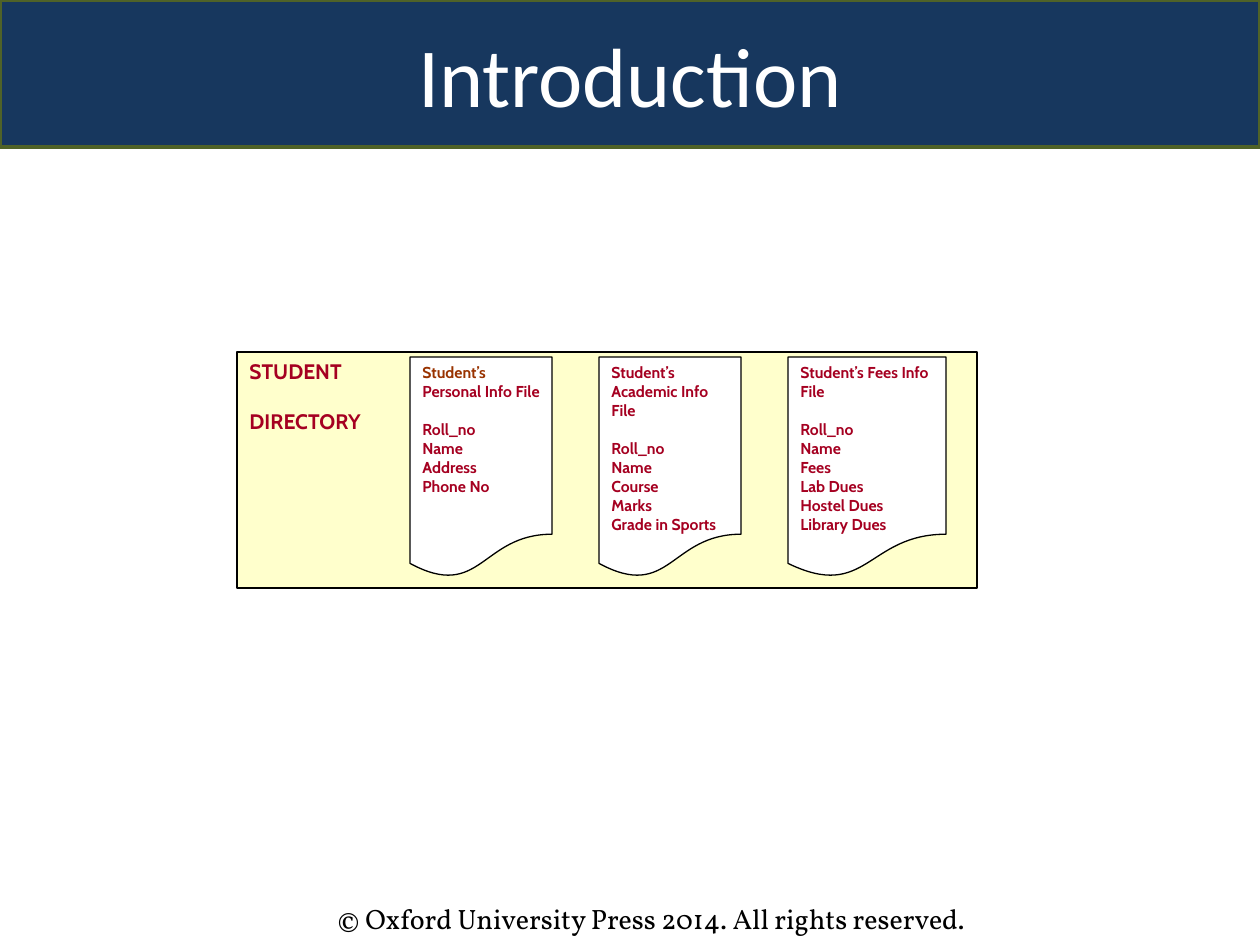
"""Build the Introduction slide with the student directory and its three files."""
from pptx import Presentation
from pptx import util as u
from pptx.dml.color import RGBColor
from pptx.enum import shapes, text

PX = 914400 / 126
NAVY = RGBColor(0x17, 0x37, 0x5E)
OLIVE = RGBColor(0x4F, 0x62, 0x28)
CREAM = RGBColor(0xFF, 0xFF, 0xCC)
CRIMSON = RGBColor(0xA5, 0x00, 0x21)
BROWN = RGBColor(0x99, 0x33, 0x00)
WHITE = RGBColor(0xFF, 0xFF, 0xFF)
BLACK = RGBColor(0x00, 0x00, 0x00)

TITLE = {"name": "Calibri", "size": u.Pt(48)}
FOOTER = {"name": "Vollkorn", "size": u.Pt(16)}
HEADING = {"name": "Cabin", "size": u.Pt(12), "bold": True}
FIELD = {"name": "Cabin", "size": u.Pt(9), "bold": True}

FILES = [
    (142, [("Student’s ", BROWN), ("Personal Info File", CRIMSON)],
     ["Roll_no", "Name", "Address", "Phone No"]),
    (142, [("Student’s Academic Info File", CRIMSON)],
     ["Roll_no", "Name", "Course", "Marks", "Grade in Sports"]),
    (158, [("Student’s Fees Info File", CRIMSON)],
     ["Roll_no", "Name", "Fees", "Lab Dues", "Hostel Dues", "Library Dues"]),
]


def px(*lengths):
    """Turn pixel lengths into EMU."""
    return [u.Emu(round(n * PX)) for n in lengths]


def write(s, paragraphs, font, align=text.PP_ALIGN.LEFT, gap=0):
    """Write paragraphs of (text, colour) runs, with a gap after the first."""
    tf = s.text_frame
    tf.word_wrap = True
    for i, runs in enumerate(paragraphs):
        p = tf.add_paragraph() if i else tf.paragraphs[0]
        p.alignment = align
        if i == 1:
            p.space_before = u.Pt(gap)
        for words, colour in runs:
            r = p.add_run()
            r.text = words
            r.font.color.rgb = colour
            for key, value in font.items():
                setattr(r.font, key, value)


def add_box(slide, kind, box, fill, line=BLACK, width=0.75):
    """Add a filled and outlined shape whose text starts at the top."""
    s = slide.shapes.add_shape(kind, *px(*box))
    s.shadow.inherit = False
    s.fill.solid()
    s.fill.fore_color.rgb = fill
    s.line.color.rgb = line
    s.line.width = u.Pt(width)
    s.text_frame.vertical_anchor = text.MSO_ANCHOR.TOP
    return s


def add_title(slide, words):
    """Add the title band across the top."""
    kind = shapes.MSO_SHAPE.ROUNDED_RECTANGLE
    s = add_box(slide, kind, (0, 0, 1260, 147), NAVY, OLIVE, 2)
    s.adjustments[0] = 0
    s.text_frame.vertical_anchor = text.MSO_ANCHOR.MIDDLE
    write(s, [[(words, WHITE)]], TITLE, text.PP_ALIGN.CENTER)


def add_directory(slide):
    """Add the directory panel with its row of files."""
    s = add_box(slide, shapes.MSO_SHAPE.RECTANGLE, (237, 352, 740, 236), CREAM)
    write(s, [[("STUDENT", CRIMSON)], [("DIRECTORY", CRIMSON)]], HEADING, gap=14.4)
    for i, (width, heading, fields) in enumerate(FILES):
        box = (410 + 189 * i, 357, width, 221)
        s = add_box(slide, shapes.MSO_SHAPE.FLOWCHART_DOCUMENT, box, WHITE)
        write(s, [heading] + [[(field, CRIMSON)] for field in fields], FIELD, gap=10.8)


def add_footer(slide, words):
    """Add the copyright line."""
    s = slide.shapes.add_textbox(*px(325, 895, 746, 47))
    write(s, [[(words, BLACK)]], FOOTER)


def main():
    """Build and save the slide."""
    prs = Presentation()
    prs.slide_width, prs.slide_height = px(1260, 945)
    slide = prs.slides.add_slide(prs.slide_layouts[6])
    add_footer(slide, "© Oxford University Press 2014. All rights reserved.")
    add_title(slide, "Introduction")
    add_directory(slide)
    prs.save("out.pptx")


if __name__ == "__main__":
    main()
